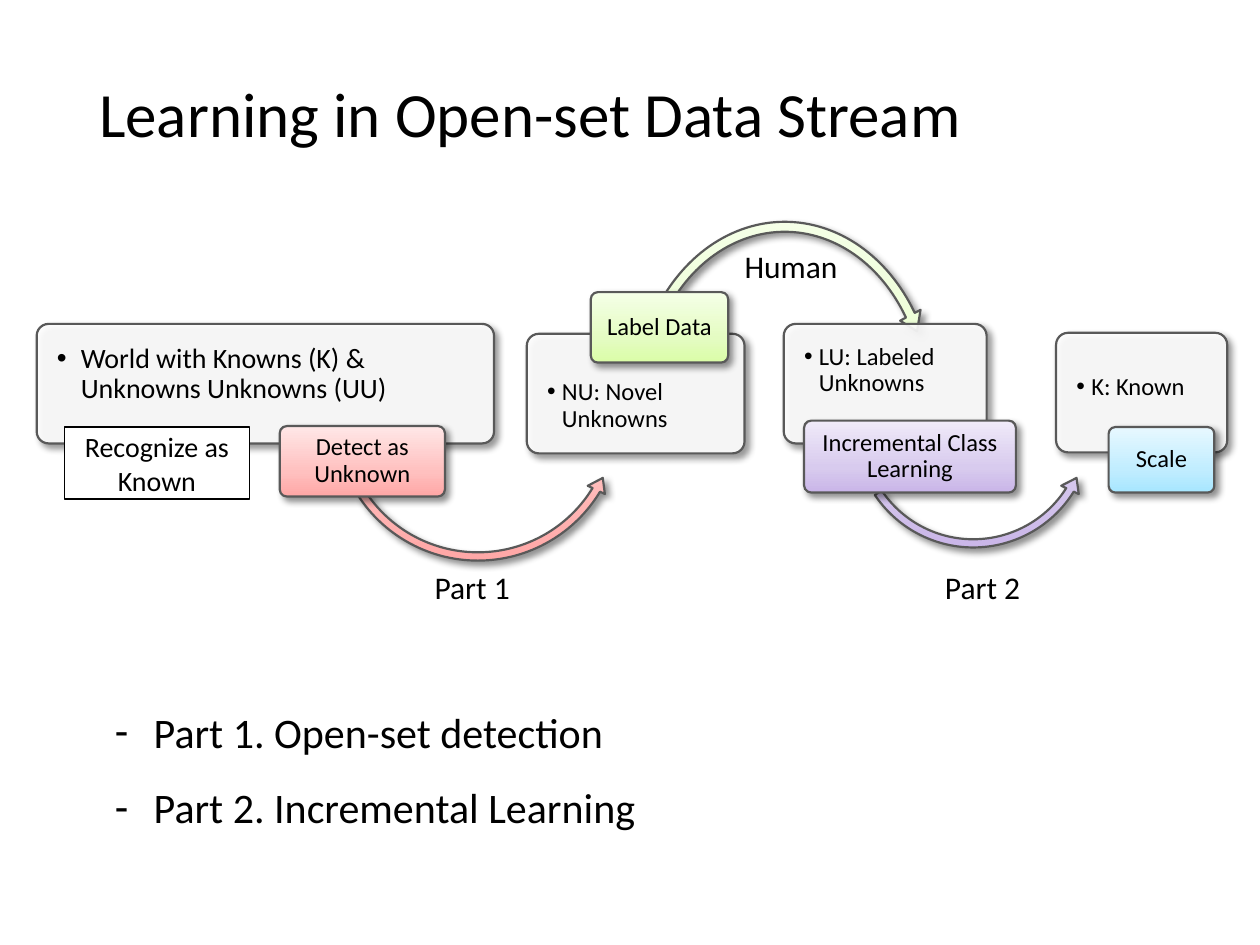
from lxml.etree import SubElement
from pptx import Presentation
from pptx.dml.color import RGBColor
from pptx.enum.shapes import MSO_SHAPE as Preset
from pptx.enum.text import MSO_ANCHOR as Anchor, MSO_AUTO_SIZE as AutoSize, PP_ALIGN as Align
from pptx.oxml.ns import qn
from pptx.util import Cm, Pt

COLORS = {"text": "000000", "paper": "FFFFFF", "outline": "595959", "shadow": "000000"}
GRADIENTS = {
    "detect": ("FFA6A5", "FFC0BF", "FFE7E7"),
    "label": ("DAFDA7", "E4FCC2", "F5FFE7"),
    "learn": ("C9B5E8", "D8CBEE", "F0EAF9"),
    "scale": ("A7E6FF", "C1EDFF", "E7F8FF"),
}
STOPS = (0, 35000, 100000)

STAGES = [
    dict(box=(0.74, 6.53, 9.22, 2.41), lines=["World with Knowns (K) &", "Unknowns Unknowns (UU)"],
         size=16, indent=0.48, drop=0.05, tone="detect",
         step="Detect as Unknown", step_box=(4.9, 2.06, 3.33, 1.42),
         arrow=Preset.LEFT_CIRCULAR_ARROW, arrow_box=(5.91, -1.09, 5.97, 5.97),
         bend=(0.028, 3.391, 18.791, 87.889, 0.032),
         caption="Part 1", caption_box=(7.77, 4.8, 2.03, 1.02)),
    dict(box=(10.62, 6.73, 4.39, 2.41), lines=["NU: Novel Unknowns"],
         size=14, indent=0.3, drop=0.56, tone="label",
         step="Label Data", step_box=(1.29, -0.84, 2.77, 1.42),
         arrow=Preset.CIRCULAR_ARROW, arrow_box=(2.05, -2.39, 6.3, 7.54),
         bend=(0.032, 3.906, 195.182, 126.599, 0.037),
         caption="Human", caption_box=(4.14, -1.88, 2.41, 1.02)),
    dict(box=(15.8, 6.53, 4.09, 2.41), lines=["LU: Labeled Unknowns"],
         size=14, indent=0.3, drop=0.05, tone="learn",
         step="Incremental Class Learning", step_box=(0.41, 1.95, 4.27, 1.45),
         arrow=Preset.LEFT_CIRCULAR_ARROW, arrow_box=(1.32, -0.38, 5, 5),
         bend=(0.033, 4.114, 19.303, 87.679, 0.039),
         caption="Part 2", caption_box=(3, 4.8, 2.03, 1.02)),
    dict(box=(21.29, 6.71, 3.45, 2.41), lines=["K: Known"],
         size=14, indent=0.3, drop=0.56, tone="scale",
         step="Scale", step_box=(1.06, 1.9, 2.13, 1.32)),
]


def color(name):
    """Return the named palette colour."""
    return RGBColor.from_string(COLORS[name])


def within(box, part):
    """Place a part's box relative to the corner of its parent box."""
    return box[0] + part[0], box[1] + part[1], part[2], part[3]


def add_run(paragraph, words, size):
    """Add one styled run to a paragraph."""
    run = paragraph.add_run()
    run.text = words
    run.font.size, run.font.name = Pt(size), "Calibri"
    run.font.color.rgb = color("text")


def add_bullet(paragraph, mark, indent):
    """Give a paragraph a hanging bullet."""
    properties = paragraph._p.get_or_add_pPr()
    properties.set("marL", str(Cm(indent)))
    properties.set("indent", str(-Cm(indent)))
    SubElement(properties, qn("a:buFont"), typeface="Arial")
    SubElement(properties, qn("a:buChar"), char=mark)


def add_text(slide, box, lines, size, spacing=None, align=Align.LEFT, anchor=Anchor.TOP,
             insets=(0.25, 0.13), wrap=True):
    """Add a text box holding one paragraph with line breaks, and return it."""
    holder = slide.shapes.add_textbox(*map(Cm, box))
    frame = holder.text_frame
    frame.word_wrap, frame.vertical_anchor = wrap, anchor
    frame.margin_left = frame.margin_right = Cm(insets[0])
    frame.margin_top = frame.margin_bottom = Cm(insets[1])
    paragraph = frame.paragraphs[0]
    paragraph.alignment = align
    if spacing:
        paragraph.line_spacing = spacing
    for number, line in enumerate(lines):
        if number:
            paragraph.add_line_break()
        add_run(paragraph, line, size)
    return holder


def add_panel(slide, preset, box, bend, tone=None):
    """Add an outlined, shadowed shape with a gradient or translucent white fill."""
    panel = slide.shapes.add_shape(preset, *map(Cm, box))
    for number, value in enumerate(bend):
        panel.adjustments[number] = value
    properties = panel._element.spPr
    if tone:
        panel.fill.gradient()
        gradient = properties.find(qn("a:gradFill"))
        stops = gradient.find(qn("a:gsLst"))
        for stop in list(stops):
            stops.remove(stop)
        for position, shade in zip(STOPS, GRADIENTS[tone]):
            stop = SubElement(stops, qn("a:gs"), pos=str(position))
            SubElement(stop, qn("a:srgbClr"), val=shade)
        gradient.find(qn("a:lin")).set("ang", "16200000")
    else:
        panel.fill.solid()
        panel.fill.fore_color.rgb = color("paper")
        paper = properties.find(qn("a:solidFill")).find(qn("a:srgbClr"))
        SubElement(paper, qn("a:alpha"), val="90000")
    panel.line.color.rgb, panel.line.width = color("outline"), Pt(1.25)
    panel.shadow.inherit = False
    shadow = SubElement(properties.find(qn("a:effectLst")), qn("a:outerShdw"), blurRad=str(Pt(4)),
                        dist=str(Pt(3)), dir="2700000", algn="br", rotWithShape="0")
    shade = SubElement(shadow, qn("a:srgbClr"), val=COLORS["shadow"])
    SubElement(shade, qn("a:alpha"), val="43000")


def add_caption(slide, box, words):
    """Add an unwrapped caption that fits its text."""
    caption = add_text(slide, box, [words], 18, wrap=False)
    caption.text_frame.auto_size = AutoSize.SHAPE_TO_FIT_TEXT


def add_stage(slide, box, lines, size, indent, drop, tone, step, step_box,
              arrow=None, arrow_box=None, bend=(), caption=None, caption_box=None):
    """Draw one stage of the stream with its step and the arrow leading on."""
    add_panel(slide, Preset.ROUNDED_RECTANGLE, box, [0.1])
    state = add_text(slide, within(box, (0.05, drop, box[2] - 0.1, 1.78)), lines, size, 0.9,
                     insets=(0.36, 0.36))
    add_bullet(state.text_frame.paragraphs[0], "•", indent)
    if arrow:
        add_panel(slide, arrow, within(box, arrow_box), bend, tone)
    step_area = within(box, step_box)
    add_panel(slide, Preset.ROUNDED_RECTANGLE, step_area, [0.1], tone)
    inner = within(step_area, (0.04, 0.04, step_box[2] - 0.08, step_box[3] - 0.08))
    add_text(slide, inner, [step], 14, 0.9, Align.CENTER, Anchor.MIDDLE, (0.08, 0.05))
    if caption:
        add_caption(slide, within(box, caption_box), caption)


def add_known_box(slide, box):
    """Draw the plain box for recognized data."""
    known = slide.shapes.add_shape(Preset.RECTANGLE, *map(Cm, box))
    known.shadow.inherit = False
    known.fill.solid()
    known.fill.fore_color.rgb = color("paper")
    known.line.color.rgb, known.line.width = color("text"), Pt(0.75)
    frame = known.text_frame
    frame.word_wrap, frame.vertical_anchor = True, Anchor.MIDDLE
    frame.paragraphs[0].alignment = Align.CENTER
    add_run(frame.paragraphs[0], "Recognize as Known", 16)


def add_outline(slide, box, parts):
    """List the parts of the talk."""
    outline = slide.shapes.add_textbox(*map(Cm, box))
    frame = outline.text_frame
    frame.word_wrap, frame.auto_size = True, AutoSize.SHAPE_TO_FIT_TEXT
    for number, part in enumerate(parts):
        paragraph = frame.add_paragraph() if number else frame.paragraphs[0]
        paragraph.line_spacing = 1.5
        add_bullet(paragraph, "-", 0.79)
        add_run(paragraph, part, 24)


def main():
    """Build the slide and save it."""
    deck = Presentation()
    deck.slide_width, deck.slide_height = Cm(25.4), Cm(19.05)
    slide = deck.slides.add_slide(deck.slide_layouts[6])
    add_text(slide, (1.75, 0.53, 21.9, 3.68), ["Learning in Open-set Data Stream"], 36, 0.9,
             anchor=Anchor.MIDDLE)
    add_outline(slide, (2.06, 13.6, 15.67, 3.35),
                ["Part 1. Open-set detection", "Part 2. Incremental Learning"])
    for stage in STAGES:
        add_stage(slide, **stage)
    add_known_box(slide, within(STAGES[0]["box"], (0.56, 2.08, 3.73, 1.45)))
    deck.save("out.pptx")


if __name__ == "__main__":
    main()
